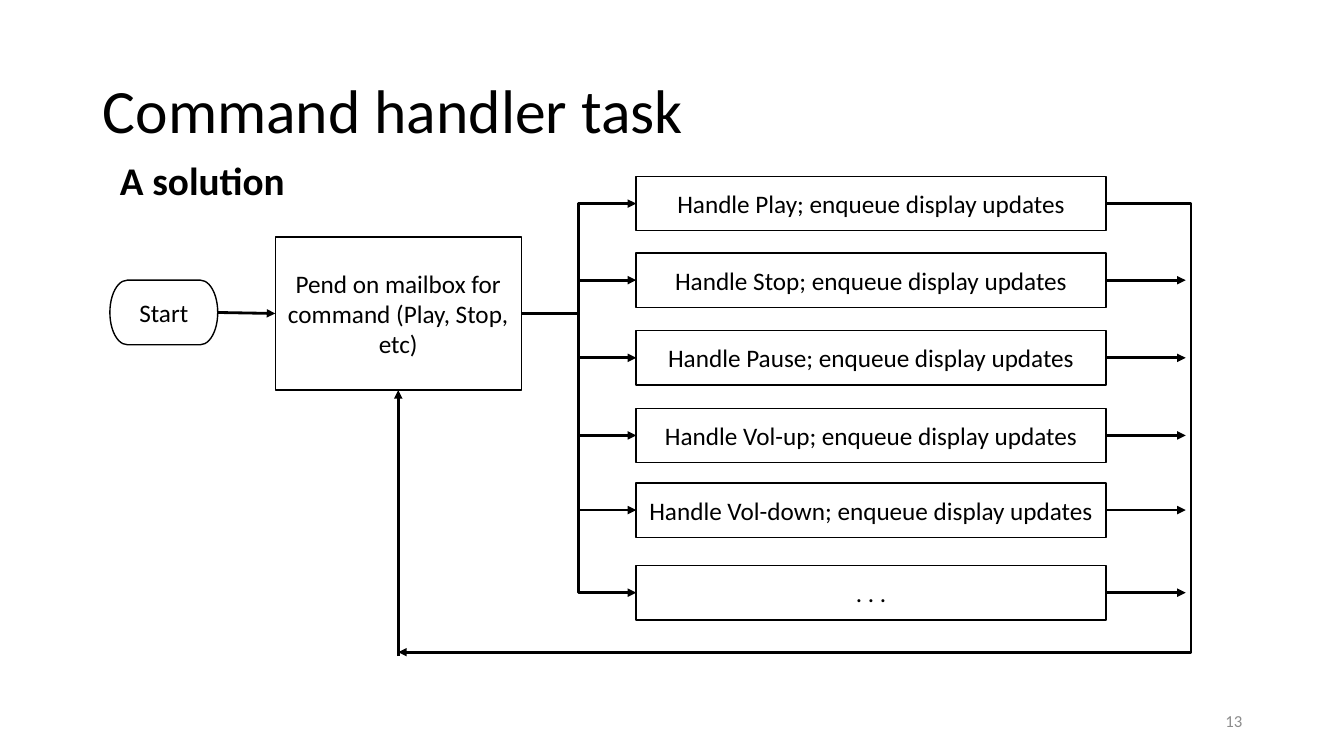
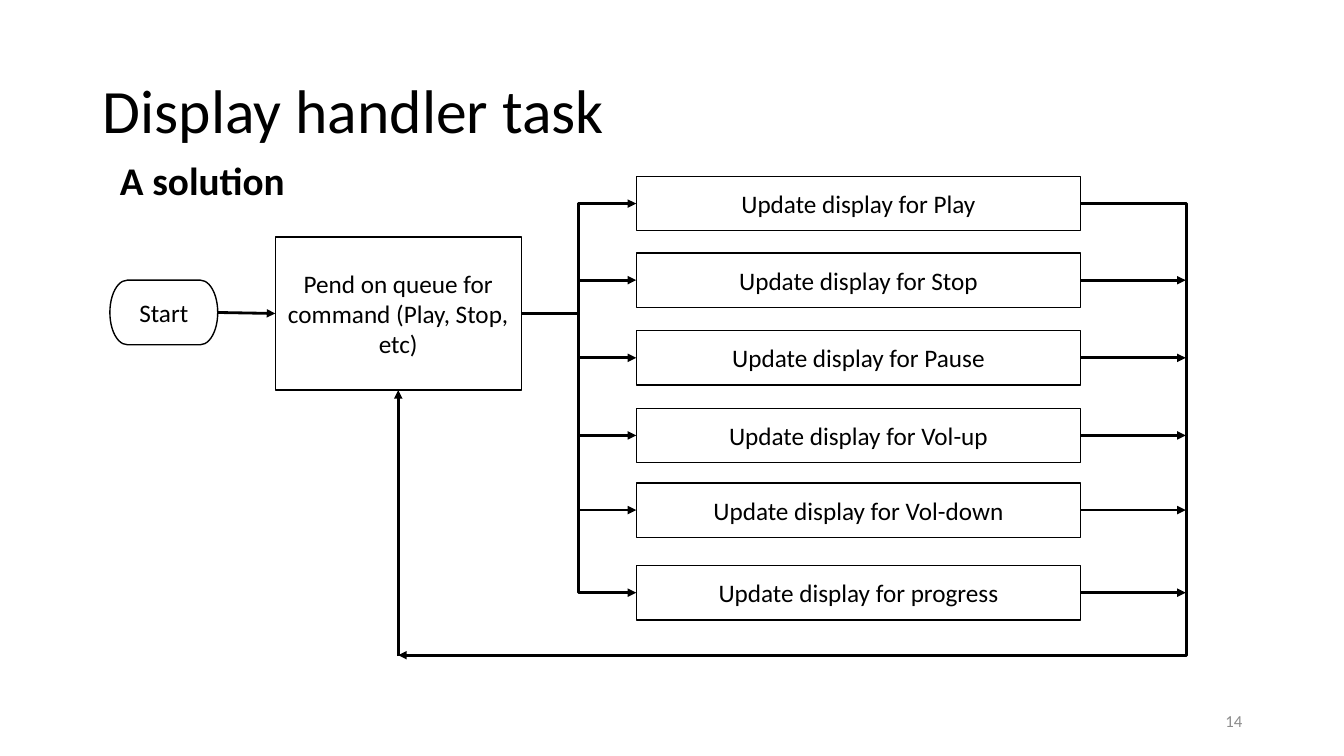
from lxml import etree
from pptx import Presentation
from pptx.dml.color import RGBColor
from pptx.enum.shapes import MSO_CONNECTOR, MSO_SHAPE
from pptx.enum.text import MSO_ANCHOR, MSO_AUTO_SIZE, PP_ALIGN
from pptx.oxml.ns import qn
from pptx.util import Inches, Pt

RECT, PILL = MSO_SHAPE.RECTANGLE, MSO_SHAPE.FLOWCHART_TERMINATOR
STRAIGHT, ELBOW = MSO_CONNECTOR.STRAIGHT, MSO_CONNECTOR.ELBOW
LEFT, MID, RIGHT = PP_ALIGN.LEFT, PP_ALIGN.CENTER, PP_ALIGN.RIGHT
TOP, CENTER = MSO_ANCHOR.TOP, MSO_ANCHOR.MIDDLE

# Shared look
BLACK, WHITE, GRAY = "000000", "FFFFFF", "8C8C8C"
TITLE = {"size": Pt(44), "bold": False}
HEAD = {"size": Pt(28), "bold": True}
LABEL = {"size": Pt(18), "bold": False}
NUMBER = {"size": Pt(12), "bold": False}

# Shared flow chart grid, in inches
START = (1.09, 2.78, 1.07, 0.64)
PEND = (2.73, 2.35, 2.44, 1.52)
TOPS = (1.75, 2.51, 3.28, 4.05, 4.79, 5.61)
CASE_X, CASE_H = 6.31, 0.54
FORK_X, TIP_X = 5.74, 11.76

SLIDES = [
    {
        "title": "Command handler task",
        "number": "13",
        "pend": "Pend on mailbox for command (Play, Stop, etc)",
        "cases": [f"Handle {name}; enqueue display updates" for name in
                  ("Play", "Stop", "Pause", "Vol-up", "Vol-down")] + [". . ."],
        "width": 4.66, "rail": 11.81, "base": 6.47,
    },
    {
        "title": "Display handler task",
        "number": "14",
        "pend": "Pend on queue for command (Play, Stop, etc)",
        "cases": [f"Update display for {name}" for name in
                  ("Play", "Stop", "Pause", "Vol-up", "Vol-down", "progress")],
        "width": 4.41, "rail": 11.77, "base": 6.5,
    },
]


def color(code):
    return RGBColor.from_string(code)


def write(shape, text, font, align, anchor, ink=BLACK, spacing=1.0):
    frame = shape.text_frame
    frame.word_wrap = True
    frame.auto_size = MSO_AUTO_SIZE.NONE
    frame.vertical_anchor = anchor
    para = frame.paragraphs[0]
    para.alignment, para.line_spacing = align, spacing
    run = para.add_run()
    run.text = text
    for name, value in {"name": "Calibri", **font}.items():
        setattr(run.font, name, value)
    run.font.color.rgb = color(ink)


def add_title(slide, text):
    title = slide.shapes.title
    place = {"left": 0.92, "top": 0.4, "width": 11.5, "height": 1.45}
    for name, value in place.items():
        setattr(title, name, Inches(value))
    write(title, text, TITLE, LEFT, CENTER, spacing=0.9)


def add_text(slide, spot, *style, **extra):
    write(slide.shapes.add_textbox(*map(Inches, spot)), *style, **extra)


def add_box(slide, kind, spot, text):
    box = slide.shapes.add_shape(kind, *map(Inches, spot))
    box.shadow.inherit = False
    box.fill.solid()
    box.fill.fore_color.rgb = color(WHITE)
    box.line.color.rgb = color(BLACK)
    box.line.width = Pt(1)
    write(box, text, LABEL, MID, CENTER)
    return box


def add_arrow(slide, start, end, bend=None):
    """Draw a straight arrow, or an elbow that turns at x = bend."""
    kind = STRAIGHT if bend is None else ELBOW
    arrow = slide.shapes.add_connector(kind, *map(Inches, start + end))
    arrow.line.color.rgb = color(BLACK)
    arrow.line.width = Pt(2)
    props = arrow._element.spPr
    etree.SubElement(props.find(qn("a:ln")), qn("a:tailEnd"), type="triangle")
    etree.SubElement(props, qn("a:effectLst"))
    if bend is not None:
        ratio = (bend - start[0]) / (end[0] - start[0])
        guides = props.find(qn("a:prstGeom")).get_or_add_avLst()
        etree.SubElement(guides, qn("a:gd"), name="adj1",
                         fmla=f"val {round(ratio * 100000)}")
    return arrow


def add_flow(slide, data):
    # Entry boxes
    start = add_box(slide, PILL, START, "Start")
    pend = add_box(slide, RECT, PEND, data["pend"])
    pend_x = PEND[0] + PEND[2] / 2
    pend_y = PEND[1] + PEND[3] / 2
    exit_x = PEND[0] + PEND[2]
    enter = add_arrow(slide, (START[0] + START[2], pend_y), (PEND[0], pend_y))
    enter.begin_connect(start, 3)
    enter.end_connect(pend, 1)

    # One branch per command
    case_end = CASE_X + data["width"]
    for row, (top, text) in enumerate(zip(TOPS, data["cases"])):
        y = top + CASE_H / 2
        case = add_box(slide, RECT, (CASE_X, top, data["width"], CASE_H), text)
        add_arrow(slide, (exit_x, pend_y), (CASE_X, y), FORK_X)
        if row:
            leave = add_arrow(slide, (case_end, y), (TIP_X, y))
            leave.begin_connect(case, 3)

    # Way back to the wait box
    add_arrow(slide, (case_end, TOPS[0] + CASE_H / 2),
              (pend_x, data["base"]), data["rail"])
    back = add_arrow(slide, (pend_x, 6.51), (pend_x, PEND[1] + PEND[3]))
    back.end_connect(pend, 2)


def main():
    deck = Presentation()
    deck.slide_width, deck.slide_height = Inches(13.33), Inches(7.5)
    for data in SLIDES:
        slide = deck.slides.add_slide(deck.slide_layouts[5])
        add_title(slide, data["title"])
        add_text(slide, (1.09, 1.55, 5.67, 0.62), "A solution", HEAD,
                 LEFT, TOP, spacing=0.9)
        add_flow(slide, data)
        add_text(slide, (9.42, 6.95, 3, 0.4), data["number"], NUMBER,
                 RIGHT, CENTER, ink=GRAY)
    deck.save("out.pptx")


if __name__ == "__main__":
    main()
